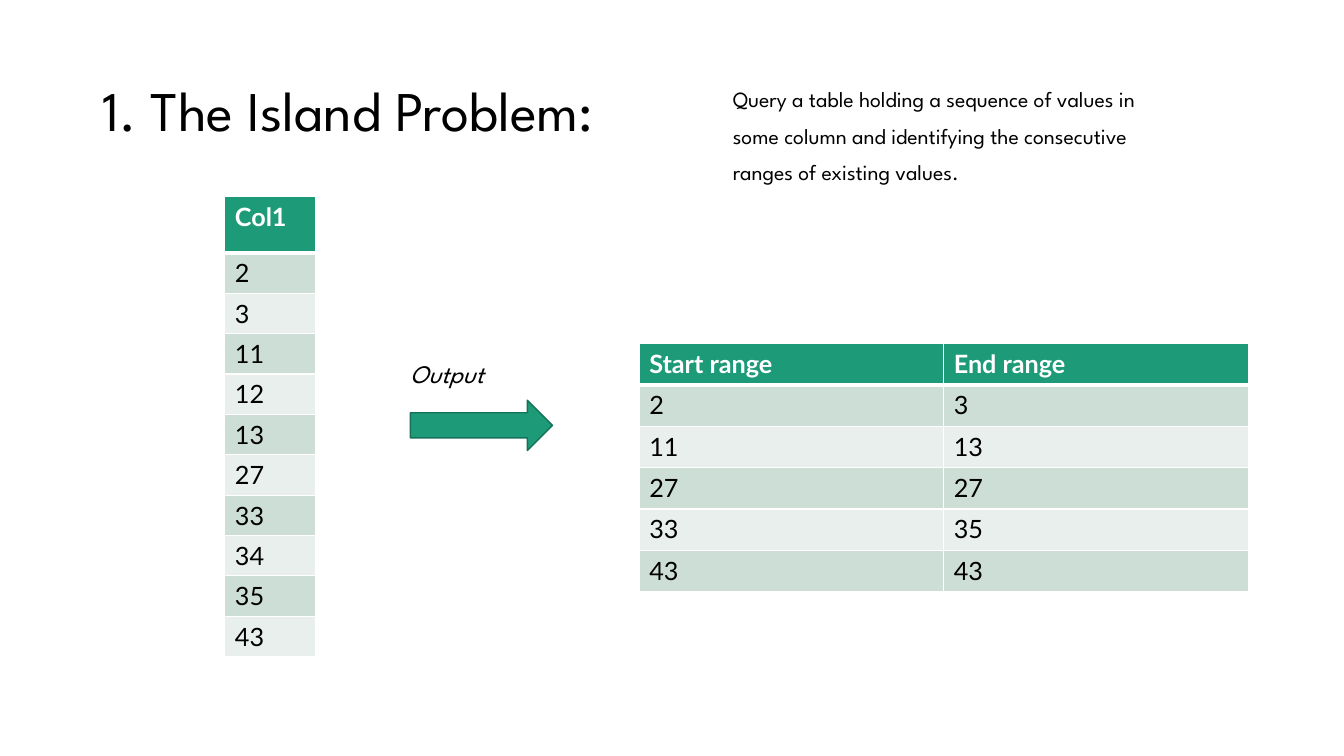
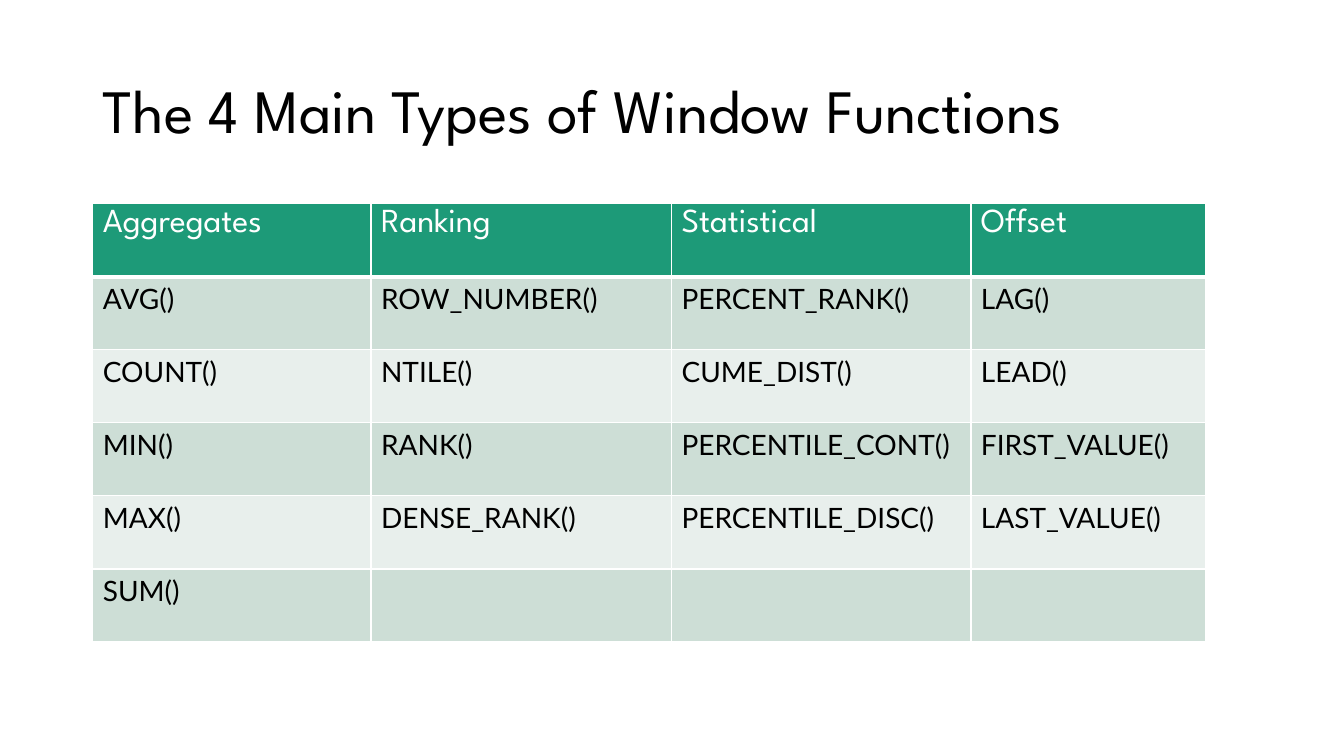
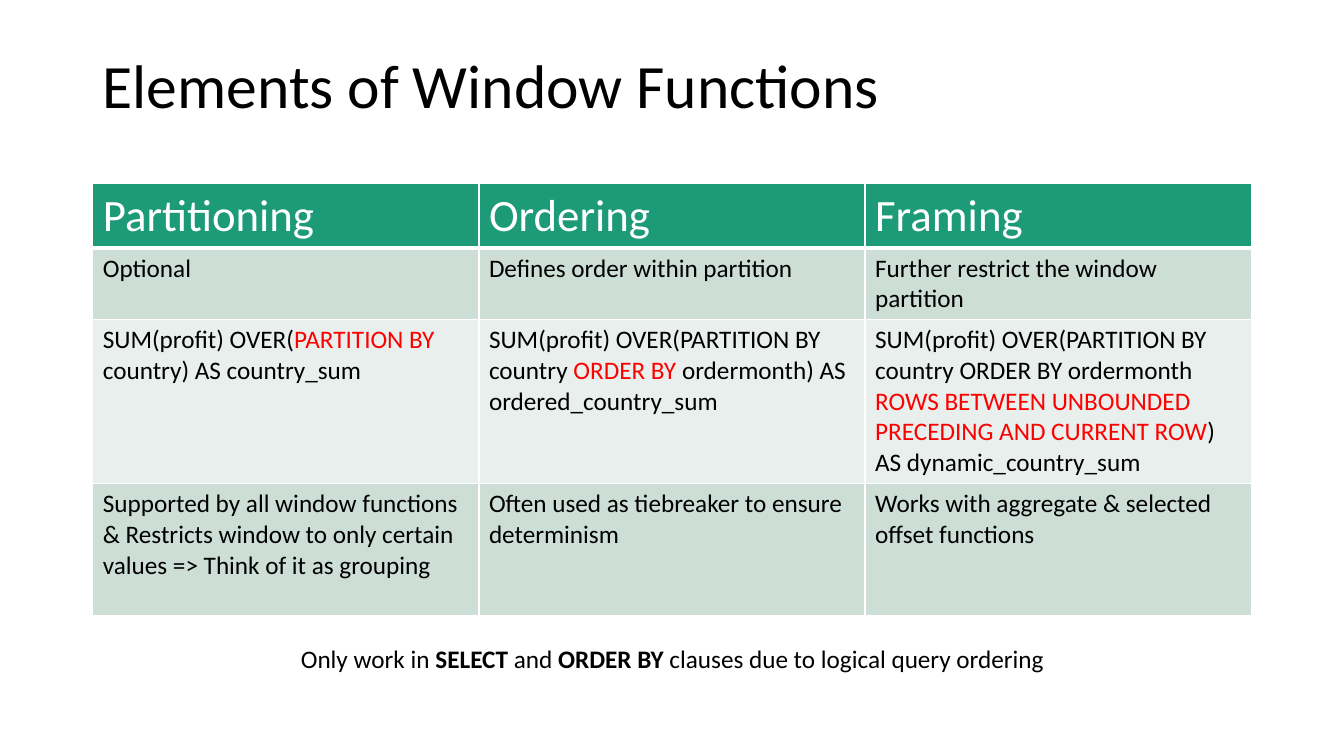
import pptx
import pptx.dml.color
import pptx.enum.shapes
import pptx.enum.text
import pptx.oxml
import pptx.oxml.ns
import pptx.util
from dataclasses import dataclass

Inches = pptx.util.Inches
Pt = pptx.util.Pt


@dataclass(frozen=True)
class Theme:
    green: str = "1D9A78"
    green_edge: str = "157259"
    bands: tuple = ("CDDED6", "E8EFEC")
    white: str = "FFFFFF"
    ink: str = "000000"
    red: str = "FF0000"
    display: str = "League Spartan"
    data: str = "Lato"
    plain: str = "Calibri"
    title_size: float = 44
    long_title_size: float = 40
    intro_size: float = 15.5
    body_size: float = 18
    function_size: float = 20
    group_size: float = 24
    element_size: float = 32


THEME = Theme()


def rgb(value):
    return pptx.dml.color.RGBColor.from_string(value)


def write_text(frame, text, *, font, size=THEME.body_size, color=THEME.ink, bold=False,
               italic=False, align=None, line_spacing=None, marked_color=None,
               marked_bold=False):
    """Write one paragraph a line; words between bars take the marked format."""
    for index, line in enumerate(text.split("\n")):
        para = frame.add_paragraph() if index else frame.paragraphs[0]
        para.alignment = align
        para.line_spacing = line_spacing
        for position, words in enumerate(line.split("|")):
            if not words:
                continue
            marked = position % 2 == 1
            span = para.add_run()
            span.text = words
            span.font.name = font
            span.font.size = Pt(size)
            span.font.bold = marked_bold if marked else bold
            span.font.italic = italic
            span.font.color.rgb = rgb(marked_color if marked and marked_color else color)


def add_text(page, text, left, top, width, height, middle=False, **text_format):
    box = page.shapes.add_textbox(Inches(left), Inches(top), Inches(width), Inches(height))
    frame = box.text_frame
    frame.word_wrap = True
    anchors = pptx.enum.text.MSO_ANCHOR
    frame.vertical_anchor = anchors.MIDDLE if middle else anchors.TOP
    write_text(frame, text, **text_format)


def add_title(page, text, top=0.4, height=1.45, font=THEME.display, size=THEME.title_size):
    add_text(page, text, 0.92, top, 11.5, height, middle=True, font=font, size=size,
             line_spacing=0.9)


def set_borders(cell, **widths):
    """Draw white cell edges; widths are points keyed L, R, T and B."""
    properties = cell._tc.get_or_add_tcPr()
    for side in "LRTB":
        properties.append(pptx.oxml.parse_xml(
            f'<a:ln{side} {pptx.oxml.ns.nsdecls("a")} w="{Pt(widths.get(side, 1))}">'
            f'<a:solidFill><a:srgbClr val="{THEME.white}"/></a:solidFill></a:ln{side}>'))


def add_grid(page, rows, left, top, columns, heights, header, body):
    """Add a banded table; header and body are text formats."""
    frame = page.shapes.add_table(len(rows), len(columns), Inches(left), Inches(top),
                                  Inches(sum(columns)), Inches(sum(heights)))
    table = frame.table
    table.first_row = False
    table.horz_banding = False
    for column, width in zip(table.columns, columns):
        column.width = Inches(width)
    for row, height in zip(table.rows, heights):
        row.height = Inches(height)
    for row_index, texts in enumerate(rows):
        is_header = row_index == 0
        edges = {0: {"B": 3}, 1: {"T": 3}}.get(row_index, {})
        fill = THEME.green if is_header else THEME.bands[(row_index - 1) % 2]
        for column_index, text in enumerate(texts):
            cell = table.cell(row_index, column_index)
            set_borders(cell, **edges)
            cell.fill.solid()
            cell.fill.fore_color.rgb = rgb(fill)
            write_text(cell.text_frame, text, **(header if is_header else body))


def add_arrow(page, left, top, width, height):
    arrow = page.shapes.add_shape(pptx.enum.shapes.MSO_SHAPE.RIGHT_ARROW, Inches(left),
                                  Inches(top), Inches(width), Inches(height))
    arrow.shadow.inherit = False
    arrow.fill.solid()
    arrow.fill.fore_color.rgb = rgb(THEME.green)
    arrow.line.color.rgb = rgb(THEME.green_edge)
    arrow.line.width = Pt(1)


def build_island_problem(page):
    add_title(page, "1. The Island Problem:", size=THEME.long_title_size)
    add_text(page, "Query a table holding a sequence of values in some column and "
             "identifying the consecutive ranges of existing values.",
             7.17, 0.7, 4.38, 1.62, font=THEME.display, size=THEME.intro_size,
             line_spacing=1.4)
    header = dict(font=THEME.data, color=THEME.white, bold=True)
    body = dict(font=THEME.data)
    values = [2, 3, 11, 12, 13, 27, 33, 34, 35, 43]
    add_grid(page, [["Col1"]] + [[str(value)] for value in values],
             2.23, 1.95, [0.9], [0.56] + [0.4] * len(values), header, body)
    add_arrow(page, 4.07, 3.97, 1.41, 0.5)
    islands = [(2, 3), (11, 13), (27, 27), (33, 35), (43, 43)]
    add_grid(page, [["Start range", "End range"]]
             + [[str(start), str(end)] for start, end in islands],
             6.34, 3.41, [3.02] * 2, [0.41] * (len(islands) + 1), header, body)
    add_text(page, "Output", 3.97, 3.51, 1.5, 0.4, font=THEME.display, italic=True)


def build_function_types(page):
    add_title(page, "The 4 Main Types of Window Functions")
    rows = [
        ["Aggregates", "Ranking", "Statistical", "Offset"],
        ["AVG()", "ROW_NUMBER()", "PERCENT_RANK()", "LAG()"],
        ["COUNT()", "NTILE()", "CUME_DIST()", "LEAD()"],
        ["MIN()", "RANK()", "PERCENTILE_CONT()", "FIRST_VALUE()"],
        ["MAX()", "DENSE_RANK()", "PERCENTILE_DISC()", "LAST_VALUE()"],
        ["SUM()", "", "", ""],
    ]
    add_grid(page, rows, 0.92, 2.02, [2.76, 2.98, 2.97, 2.33], [0.725] * len(rows),
             dict(font=THEME.display, size=THEME.group_size, color=THEME.white),
             dict(font=THEME.data, size=THEME.function_size))


def build_function_elements(page):
    add_title(page, "Elements of Window Functions", top=0.42, height=0.92, font=THEME.plain)
    rows = [
        ["Partitioning", "Ordering", "Framing"],
        ["Optional", "Defines order within partition",
         "Further restrict the window partition"],
        ["SUM(profit) OVER(|PARTITION BY| country) AS country_sum",
         "SUM(profit) OVER(PARTITION BY country |ORDER BY |ordermonth) AS ordered_country_sum",
         "SUM(profit) OVER(PARTITION BY country ORDER BY ordermonth\n"
         "|ROWS BETWEEN UNBOUNDED PRECEDING AND CURRENT ROW|) AS dynamic_country_sum"],
        ["Supported by all window functions & Restricts window to only certain values "
         "=> Think of it as grouping",
         "Often used as tiebreaker to ensure determinism",
         "Works with aggregate & selected offset functions"],
    ]
    add_grid(page, rows, 0.92, 1.82, [3.83] * 3, [0.64, 0.71, 1.63, 1.31],
             dict(font=THEME.plain, size=THEME.element_size, color=THEME.white),
             dict(font=THEME.plain, marked_color=THEME.red))
    add_text(page, "Only work in |SELECT| and |ORDER BY| clauses due to logical query ordering",
             0.92, 6.33, 11.5, 0.4, font=THEME.plain, marked_bold=True,
             align=pptx.enum.text.PP_ALIGN.CENTER)


def main():
    deck = pptx.Presentation()
    deck.slide_width = Inches(13.33)
    deck.slide_height = Inches(7.5)
    blank = deck.slide_layouts[6]
    for build in (build_island_problem, build_function_types, build_function_elements):
        build(deck.slides.add_slide(blank))
    deck.save("out.pptx")


if __name__ == "__main__":
    main()
